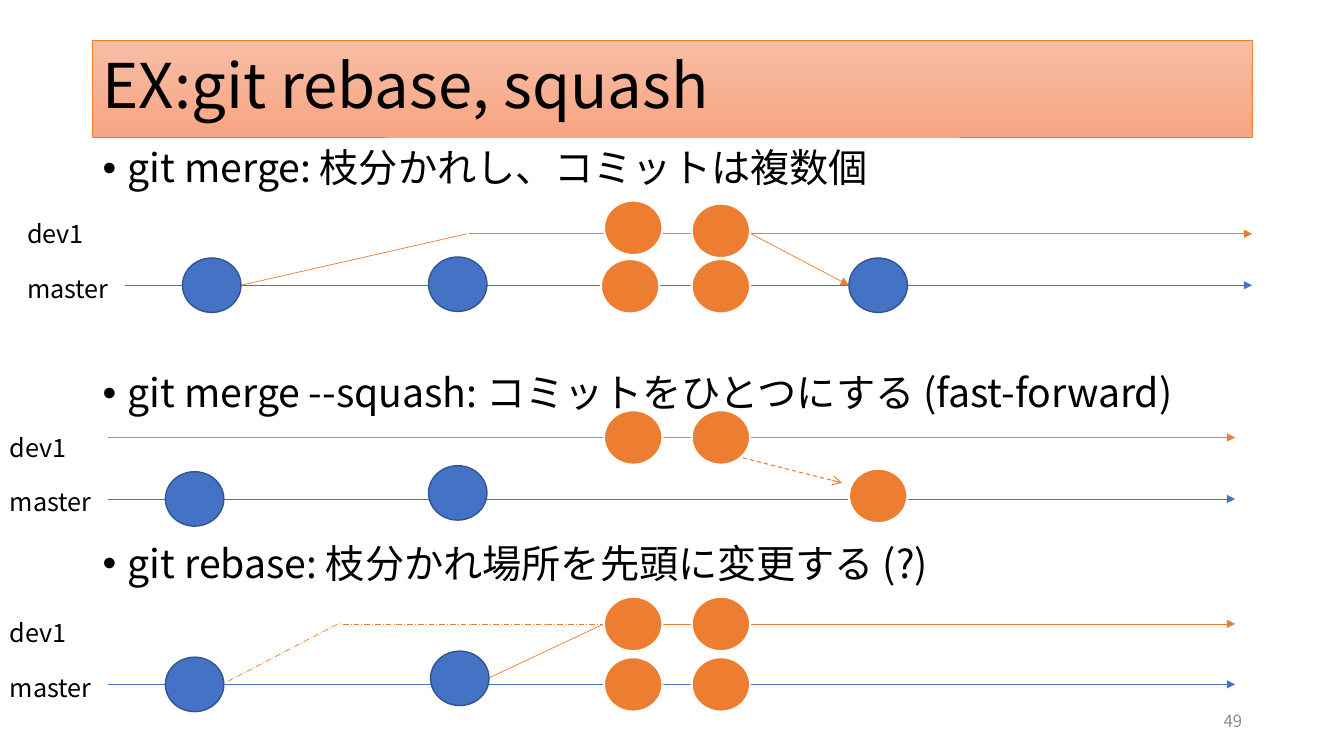
from dataclasses import dataclass

from lxml import etree
from pptx import Presentation
from pptx.dml.color import RGBColor
from pptx.enum.dml import MSO_LINE
from pptx.enum.shapes import MSO_CONNECTOR, MSO_SHAPE
from pptx.enum.text import MSO_ANCHOR, PP_ALIGN
from pptx.oxml.ns import qn
from pptx.slide import Slide
from pptx.text.text import TextFrame
from pptx.util import Inches, Pt

FONT = "Noto Sans CJK JP"
BLACK = RGBColor(0x00, 0x00, 0x00)
WHITE = RGBColor(0xFF, 0xFF, 0xFF)
GRAY = RGBColor(0x8C, 0x8C, 0x8C)
BLUE = RGBColor(0x44, 0x72, 0xC4)
DARK_BLUE = RGBColor(0x32, 0x54, 0x91)
ORANGE = RGBColor(0xED, 0x7D, 0x31)
TITLE_TOP_COLOR = RGBColor(0xF7, 0xBD, 0xA5)
TITLE_BOTTOM_COLOR = RGBColor(0xF8, 0xA5, 0x82)
STRAIGHT = MSO_CONNECTOR.STRAIGHT
OVAL = MSO_SHAPE.OVAL
RECTANGLE = MSO_SHAPE.RECTANGLE
DASH = MSO_LINE.DASH
DASH_DOT = MSO_LINE.LONG_DASH_DOT
TOP, MIDDLE = MSO_ANCHOR.TOP, MSO_ANCHOR.MIDDLE
LEFT, RIGHT = PP_ALIGN.LEFT, PP_ALIGN.RIGHT
COMMIT_WIDTH, COMMIT_HEIGHT = 0.58, 0.54


@dataclass(frozen=True)
class Track:
    x1: float
    y1: float
    x2: float
    y2: float
    color: RGBColor = ORANGE
    arrow: str = ""
    dash: MSO_LINE | None = None
    width: float = 0.5


@dataclass(frozen=True)
class Commit:
    left: float
    top: float
    on_master: bool = False


@dataclass(frozen=True)
class History:
    heading: str
    heading_top: float
    left: float
    master_y: float
    tracks: tuple[Track, ...]
    commits: tuple[Commit, ...]


HISTORIES = (
    History(
        "git merge: 枝分かれし、コミットは複数個", 1.43, 0.17, 2.83,
        (Track(2.39, 2.83, 4.63, 2.32),
         Track(4.65, 2.32, 12.42, 2.32, arrow="triangle"),
         Track(7.45, 2.32, 8.42, 2.83, arrow="triangle")),
        (Commit(1.81, 2.56, True), Commit(4.25, 2.55, True),
         Commit(8.42, 2.56, True), Commit(5.99, 1.99), Commit(6.86, 2.02),
         Commit(5.96, 2.57), Commit(6.86, 2.57)),
    ),
    History(
        "git merge --squash: コミットをひとつにする (fast-forward)", 3.66, 0, 4.95,
        (Track(1.07, 4.34, 12.25, 4.34, arrow="triangle"),
         Track(7.16, 4.49, 8.35, 4.79, arrow="arrow", dash=DASH, width=0.75)),
        (Commit(1.64, 4.68, True), Commit(4.25, 4.62, True),
         Commit(5.99, 4.07), Commit(6.86, 4.07), Commit(8.42, 4.65)),
    ),
    History(
        "git rebase: 枝分かれ場所を先頭に変更する (?)", 5.35, 0, 6.79,
        (Track(6.54, 6.19, 12.25, 6.19, arrow="triangle"),
         Track(4.84, 6.73, 5.99, 6.19),
         Track(3.4, 6.19, 5.99, 6.19, dash=DASH_DOT),
         Track(2.26, 6.76, 3.39, 6.17, dash=DASH_DOT)),
        (Commit(1.64, 6.52, True), Commit(4.27, 6.46, True),
         Commit(5.99, 5.92), Commit(6.86, 5.92),
         Commit(5.99, 6.52), Commit(6.86, 6.52)),
    ),
)


def write(frame: TextFrame, text: str, size: float, color: RGBColor = BLACK,
          align: PP_ALIGN = LEFT, anchor: MSO_ANCHOR = TOP,
          spacing: float = 1.0, bullet: bool = False) -> None:
    frame.word_wrap = True
    frame.vertical_anchor = anchor
    paragraph = frame.paragraphs[0]
    paragraph.alignment = align
    paragraph.line_spacing = spacing
    if bullet:
        properties = paragraph._p.get_or_add_pPr()
        properties.set("marL", str(Inches(0.25)))
        properties.set("indent", str(Inches(-0.25)))
        etree.SubElement(properties, qn("a:buFont")).set("typeface", "Arial")
        etree.SubElement(properties, qn("a:buChar")).set("char", "•")
    run = paragraph.add_run()
    run.text = text
    run.font.size = Pt(size)
    run.font.name = FONT
    run.font.color.rgb = color
    etree.SubElement(run._r.get_or_add_rPr(), qn("a:ea")).set("typeface", FONT)


def add_text(slide: Slide, left: float, top: float, width: float,
             height: float) -> TextFrame:
    return slide.shapes.add_textbox(Inches(left), Inches(top), Inches(width),
                                    Inches(height)).text_frame


def add_title(slide: Slide) -> None:
    banner = slide.shapes.add_shape(RECTANGLE, Inches(0.92), Inches(0.4),
                                    Inches(11.5), Inches(0.96))
    banner.shadow.inherit = False
    banner.fill.gradient()
    banner.fill.gradient_angle = 270
    stops = banner.fill.gradient_stops
    for stop, color, position in zip(
            stops, (TITLE_TOP_COLOR, TITLE_BOTTOM_COLOR), (0, 1)):
        stop.color.rgb = color
        stop.position = position
    banner.line.color.rgb = ORANGE
    banner.line.width = Pt(0.5)
    write(banner.text_frame, "EX:git rebase, squash", 44, anchor=MIDDLE,
          spacing=0.9)


def add_track(slide: Slide, track: Track) -> None:
    connector = slide.shapes.add_connector(
        STRAIGHT, Inches(track.x1), Inches(track.y1),
        Inches(track.x2), Inches(track.y2))
    connector.line.color.rgb = track.color
    connector.line.width = Pt(track.width)
    if track.dash is not None:
        connector.line.dash_style = track.dash
    if track.arrow:
        outline = connector.line._get_or_add_ln()
        etree.SubElement(outline, qn("a:tailEnd")).set("type", track.arrow)
    etree.SubElement(connector._element.spPr, qn("a:effectLst"))


def add_commit(slide: Slide, commit: Commit) -> None:
    circle = slide.shapes.add_shape(
        OVAL, Inches(commit.left), Inches(commit.top),
        Inches(COMMIT_WIDTH), Inches(COMMIT_HEIGHT))
    circle.shadow.inherit = False
    circle.fill.solid()
    circle.fill.fore_color.rgb = BLUE if commit.on_master else ORANGE
    circle.line.color.rgb = DARK_BLUE if commit.on_master else WHITE
    circle.line.width = Pt(1 if commit.on_master else 1.5)


def add_history(slide: Slide, history: History) -> None:
    write(add_text(slide, 0.92, history.heading_top, 11.5, 0.6),
          history.heading, 28, spacing=0.9, bullet=True)
    for branch, rise in (("dev1", 0.71), ("master", 0.17)):
        write(add_text(slide, history.left, history.master_y - rise, 1.15, 0.4),
              branch, 18)
    master = Track(history.left + 1.07, history.master_y,
                   history.left + 12.25, history.master_y, BLUE, "triangle")
    for track in (master, *history.tracks):
        add_track(slide, track)
    for commit in history.commits:
        add_commit(slide, commit)


def main() -> None:
    """Build the slide comparing merge, squash and rebase histories."""
    presentation = Presentation()
    presentation.slide_width = Inches(13.33)
    presentation.slide_height = Inches(7.5)
    slide = presentation.slides.add_slide(presentation.slide_layouts[6])
    add_title(slide)
    for history in HISTORIES:
        add_history(slide, history)
    write(add_text(slide, 9.42, 6.95, 3, 0.4), "49", 12, GRAY, RIGHT, MIDDLE)
    presentation.save("out.pptx")


if __name__ == "__main__":
    main()
